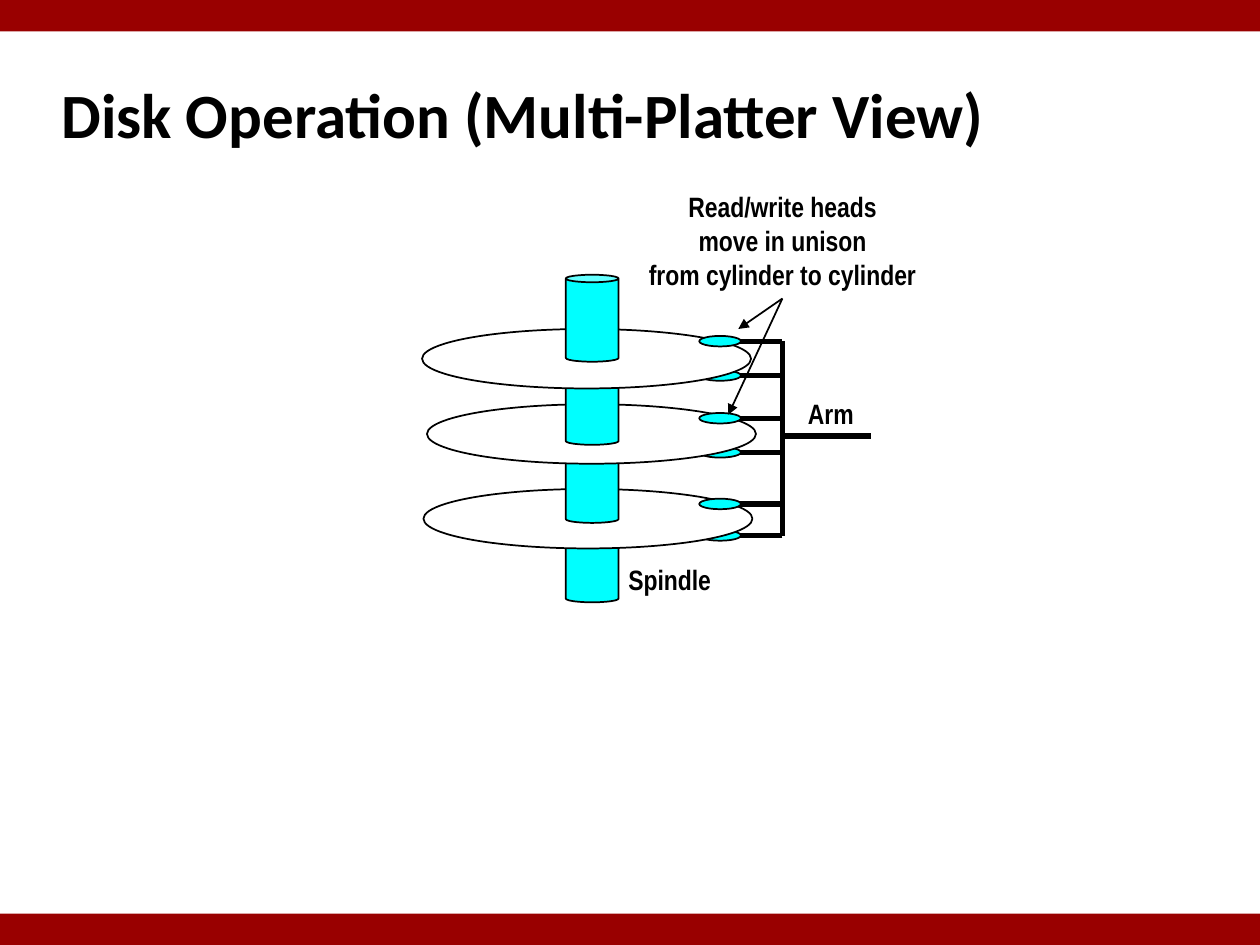
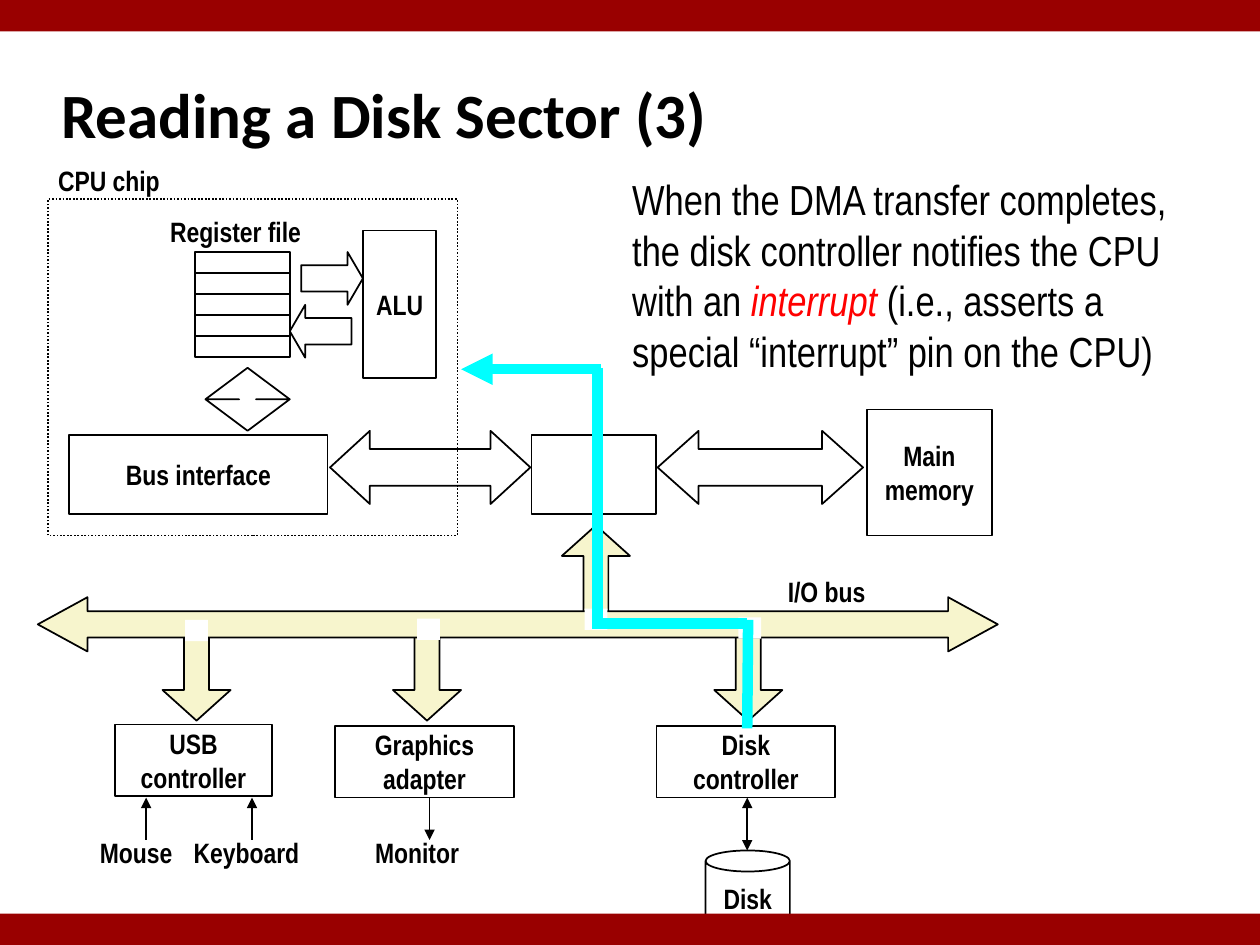
"""Build two slides on disk operation and on reading a disk sector."""
import lxml.etree
import pptx
import pptx.dml.color
import pptx.enum.dml
import pptx.enum.shapes
import pptx.enum.text
import pptx.oxml.ns
import pptx.util

Pt = pptx.util.Pt
SHAPE = pptx.enum.shapes.MSO_SHAPE
ALIGN = pptx.enum.text.PP_ALIGN
ANCHOR = pptx.enum.text.MSO_ANCHOR
color = pptx.dml.color.RGBColor.from_string

BLACK, WHITE, RED = "000000", "FFFFFF", "FF0000"
BAND, CYAN, CREAM = "990000", "00FFFF", "F7F5CD"
LABEL_FONT, TITLE_FONT = "Arial Narrow", "Calibri"


def place(slide, kind, box, text="", fill=None, outline=BLACK, adjust=(), align=ALIGN.CENTER,
          font=LABEL_FONT, size=16):
    """Add a shape, or a text box when kind is None, with bold text."""
    left, top, width, height = map(Pt, box)
    if kind is None:
        item = slide.shapes.add_textbox(left, top, width, height)
    else:
        item = slide.shapes.add_shape(kind, left, top, width, height)
        item.shadow.inherit = False
        for index, value in enumerate(adjust):
            item.adjustments[index] = value
        if fill:
            item.fill.solid()
            item.fill.fore_color.rgb = color(fill)
        else:
            item.fill.background()
        if outline:
            item.line.color.rgb = color(outline)
            item.line.width = Pt(1)
        else:
            item.line.fill.background()
    if text:
        frame = item.text_frame
        frame.word_wrap = False
        frame.vertical_anchor = ANCHOR.MIDDLE
        frame.text = text
        for paragraph in frame.paragraphs:
            paragraph.alignment = align
            paragraph.font.name = font
            paragraph.font.size = Pt(size)
            paragraph.font.bold = True
            paragraph.font.color.rgb = color(BLACK)
    return item


def connect(slide, start, end, width=1, stroke=BLACK, ends=()):
    """Draw a straight line with triangles at the named ends."""
    link = slide.shapes.add_connector(pptx.enum.shapes.MSO_CONNECTOR.STRAIGHT,
                                      *map(Pt, (*start, *end)))
    link.line.color.rgb = color(stroke)
    link.line.width = Pt(width)
    for name in ends:
        lxml.etree.SubElement(link.line._get_or_add_ln(), pptx.oxml.ns.qn(f"a:{name}End"),
                              type="triangle")
    lxml.etree.SubElement(link._element.spPr, pptx.oxml.ns.qn("a:effectLst"))


deck = pptx.Presentation()
deck.slide_width, deck.slide_height = Pt(720), Pt(540)
platter_slide, sector_slide = [deck.slides.add_slide(deck.slide_layouts[6]) for _ in range(2)]
for slide, title in ((platter_slide, "Disk Operation (Multi-Platter View)"),
                     (sector_slide, "Reading a Disk Sector (3)")):
    place(slide, None, (28, 34.6, 598, 59.8), title, align=ALIGN.LEFT, font=TITLE_FONT, size=36)

ARM_X = 447.1
SPINDLE_X = 323.3
lower_heads, upper_heads = (214.6, 258.5, 306), (195, 239, 288)
platters = ((294.5, 242, 279.4), (249.1, 244, 231), (204.5, 241.2, 188))

for layer in (lower_heads, upper_heads):
    for y in layer:
        connect(platter_slide, (ARM_X, y), (411.1, y), 3)
        place(platter_slide, SHAPE.OVAL, (399.6, y - 3, 23.8, 6), fill=CYAN)
    if layer is lower_heads:
        for spindle_top, left, top in platters:
            place(platter_slide, SHAPE.CAN, (SPINDLE_X, spindle_top, 30.2, 49.7),
                  fill=CYAN, adjust=[0.142])
            place(platter_slide, SHAPE.OVAL, (left, top, 188, 34), fill=WHITE)
        place(platter_slide, SHAPE.CAN, (SPINDLE_X, 157, 30.2, 49.7), fill=CYAN, adjust=[0.142])
connect(platter_slide, (ARM_X, 195), (ARM_X, 306), 3)
connect(platter_slide, (ARM_X, 249.1), (497.5, 249.1), 3)

place(platter_slide, None, (454.3, 222.8, 41, 26.6), "Arm")
place(platter_slide, None, (360.4, 104.6, 173.5, 65.5),
      "Read/write heads\nmove in unison\nfrom cylinder to cylinder")
place(platter_slide, None, (351.4, 317.8, 62.6, 26.6), "Spindle")
for head in ((421.9, 188), (416.2, 237)):
    connect(platter_slide, (ARM_X, 170.6), head, ends=["tail"])

place(sector_slide, SHAPE.RECTANGLE, (495.4, 234, 71.3, 72), "Main\nmemory")
place(sector_slide, SHAPE.LEFT_RIGHT_ARROW, (375.8, 246.2, 117.4, 41.8), adjust=[0.5, 0.56])
place(sector_slide, SHAPE.RECTANGLE, (303.8, 248.4, 71.3, 45.4))
place(sector_slide, SHAPE.LEFT_RIGHT_ARROW, (188.6, 246.2, 114.5, 41.8), adjust=[0.5, 0.545])
for register in range(5):
    place(sector_slide, SHAPE.RECTANGLE, (111.6, 144 + 12 * register, 54, 12))
place(sector_slide, SHAPE.RIGHT_ARROW, (172.1, 144, 35.3, 30.2), adjust=[0.5, 0.292])
place(sector_slide, SHAPE.LEFT_ARROW, (165.6, 174.2, 35.3, 30.2), adjust=[0.5, 0.292])
place(sector_slide, SHAPE.RECTANGLE, (207.4, 131.8, 41.8, 84.2), "ALU")
place(sector_slide, None, (89.3, 118.8, 90.7, 26.6), "Register file")
place(sector_slide, SHAPE.UP_DOWN_ARROW, (117.4, 210.2, 48.2, 36), adjust=[0.5, 0.2])
cpu_chip = place(sector_slide, SHAPE.RECTANGLE, (27.4, 113.8, 234, 192.2))
cpu_chip.line.dash_style = pptx.enum.dml.MSO_LINE.ROUND_DOT
place(sector_slide, None, (19.4, 90, 85.7, 26.6), "CPU chip")
place(sector_slide, SHAPE.RECTANGLE, (39.6, 248.4, 147.6, 45.4), "Bus interface")

place(sector_slide, SHAPE.UP_ARROW, (321.1, 300.2, 38.9, 54), fill=CREAM, adjust=[0.367, 0.449])
for arrow_left, left, top, width, device in (
        (408.2, 375.1, 414.7, 102.2, "Disk\ncontroller"),
        (224.6, 191.5, 414.7, 102.2, "Graphics\nadapter"),
        (92.9, 65.5, 414, 90, "USB\ncontroller")):
    place(sector_slide, SHAPE.DOWN_ARROW, (arrow_left, 357.8, 38.9, 54),
          fill=CREAM, adjust=[0.367, 0.449])
    place(sector_slide, SHAPE.RECTANGLE, (left, top, width, 41), device)
for x, bottom, ends in ((83.5, 480, ["head"]), (144, 480, ["head"]),
                        (245.5, 480, ["tail"]), (427, 486, ["head", "tail"])):
    connect(sector_slide, (x, 455.8), (x, bottom), ends=ends)
for left, width, peripheral in ((49.7, 56.2, "Mouse"), (103, 75.6, "Keyboard"),
                                (206.6, 63.4, "Monitor")):
    place(sector_slide, None, (left, 473.8, width, 26.6), peripheral)
place(sector_slide, SHAPE.CAN, (403.2, 486, 48.2, 48.2), "Disk", adjust=[0.25])

place(sector_slide, SHAPE.LEFT_RIGHT_ARROW, (21.6, 341.3, 548.6, 31),
      fill=CREAM, adjust=[0.486, 0.915])
for left, top in ((105.8, 354.2), (238.3, 353.5), (421.9, 352.8), (334.1, 347.8)):
    place(sector_slide, SHAPE.RECTANGLE, (left, top, 13, 12.2), fill=WHITE, outline=None)
place(sector_slide, None, (437.8, 324.7, 69.1, 26.6), "I/O bus")

for start, end, ends in (((343.4, 211), (263.5, 211), ["tail"]),
                         ((341.3, 210.2), (341.3, 354.2), []),
                         ((338.4, 356.4), (427, 356.4), []),
                         ((427.5, 354.2), (427, 416.2), [])):
    connect(sector_slide, start, end, 6, CYAN, ends)

message = place(sector_slide, None, (354.2, 95.8, 342, 123.8)).text_frame
message.word_wrap = True
explanation = message.paragraphs[0]
explanation.font.name = LABEL_FONT
explanation.font.size = Pt(24)
for words, shade in (
        ("When the DMA transfer completes, the disk controller notifies the CPU with an ", BLACK),
        ("interrupt", RED),
        (" (i.e., asserts a special “interrupt” pin on the CPU)", BLACK)):
    run = explanation.add_run()
    run.text = words
    run.font.color.rgb = color(shade)
    run.font.italic = shade == RED

for slide in deck.slides:
    for top in (0, 522):
        place(slide, SHAPE.RECTANGLE, (0, top, 720, 18), fill=BAND, outline=None)

deck.save("out.pptx")
